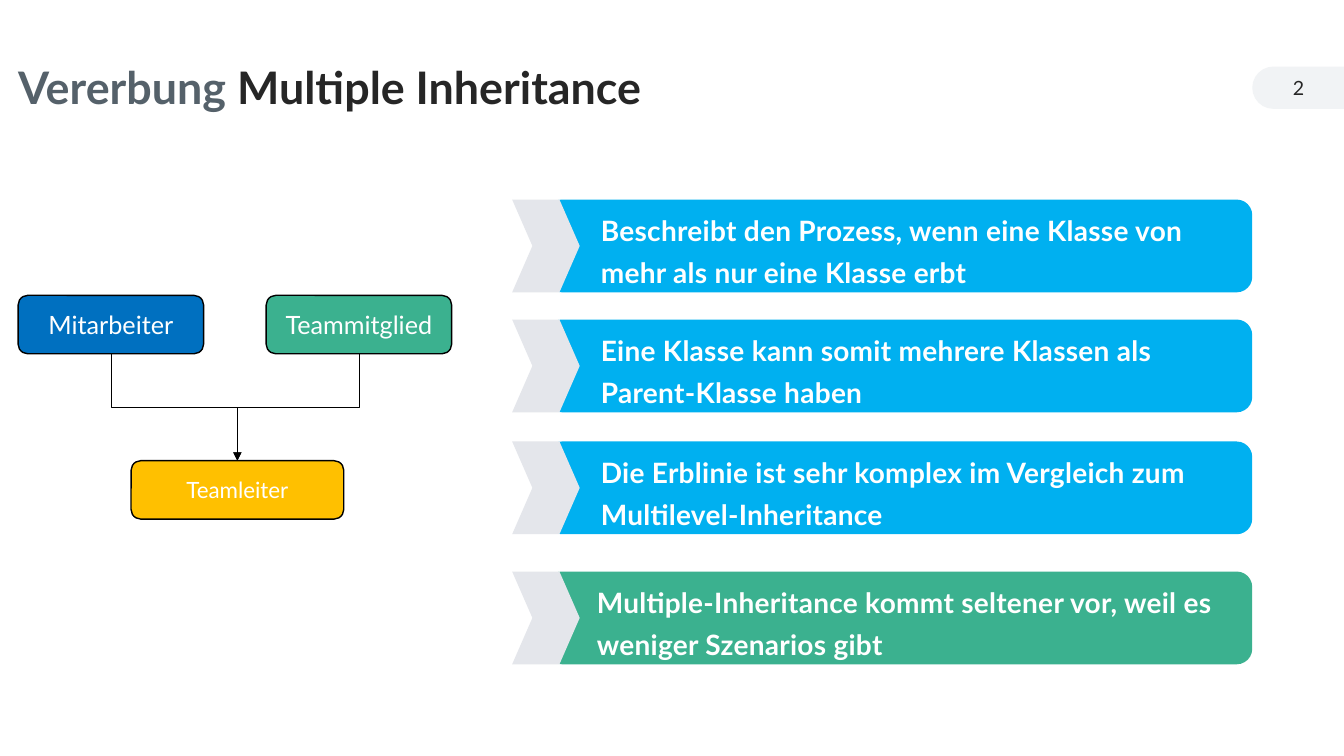
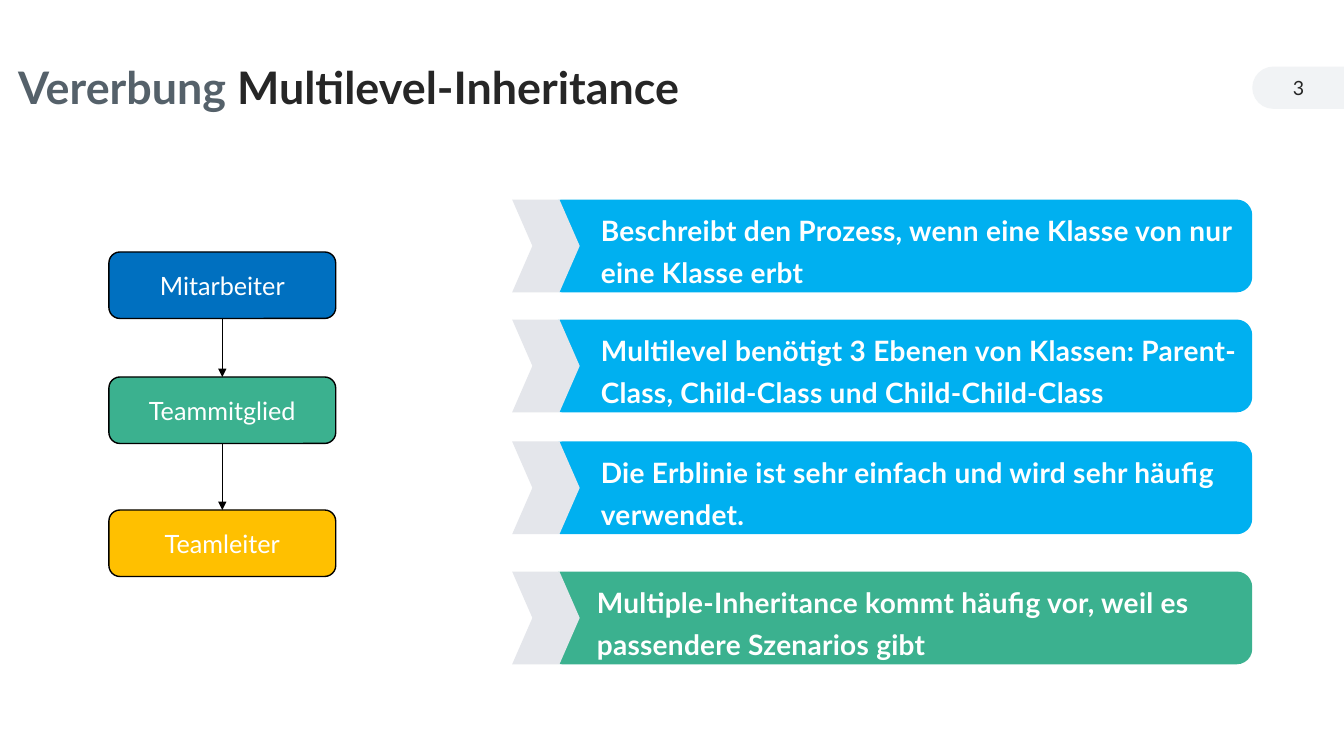
from typing import NamedTuple

from lxml.etree import SubElement
from pptx import Presentation
from pptx.dml.color import RGBColor
from pptx.enum.shapes import MSO_CONNECTOR as Connector, MSO_SHAPE as Preset
from pptx.enum.text import MSO_ANCHOR as Anchor, PP_ALIGN as Align
from pptx.oxml.ns import qn
from pptx.util import Inches, Pt

FONT = "Lato"
COLORS = {
    "title_lead": "55616A",
    "dark": "262626",
    "badge": "F1F3F5",
    "chevron": "E4E6EB",
    "sky": "00B0F0",
    "green": "3BB18F",
    "blue": "0070C0",
    "amber": "FFC000",
    "white": "FFFFFF",
    "black": "000000",
}
BAR_HEIGHT = 0.92


class Box(NamedTuple):
    left: float
    top: float
    width: float
    height: float

    def lengths(self):
        return [Inches(value) for value in self]


class ClassNode(NamedTuple):
    name: str
    box: Box
    color: str
    size: int = 18


class BarStyle(NamedTuple):
    top: float
    text_left: float
    color: str


class Topic(NamedTuple):
    number: int
    title: str
    title_width: float
    nodes: list[ClassNode]
    links: list[tuple[int, int]]
    statements: list[str]


BARS = [
    BarStyle(1.98, 5.96, "sky"),
    BarStyle(3.17, 5.96, "sky"),
    BarStyle(4.38, 5.96, "sky"),
    BarStyle(5.67, 5.92, "green"),
]

TOPICS = [
    Topic(
        2, "Multiple Inheritance", 6.58,
        [
            ClassNode("Mitarbeiter", Box(0.18, 2.93, 1.84, 0.58), "blue"),
            ClassNode("Teammitglied", Box(2.64, 2.93, 1.84, 0.58), "green"),
            ClassNode("Teamleiter", Box(1.3, 4.57, 2.11, 0.58), "amber", 16),
        ],
        [(0, 2), (1, 2)],
        [
            "Beschreibt den Prozess, wenn eine Klasse von mehr als nur eine Klasse erbt",
            "Eine Klasse kann somit mehrere Klassen als Parent-Klasse haben",
            "Die Erblinie ist sehr komplex im Vergleich zum Multilevel-Inheritance",
            "Multiple-Inheritance kommt seltener vor, weil es weniger Szenarios gibt",
        ],
    ),
    Topic(
        3, "Multilevel-Inheritance", 7.65,
        [
            ClassNode("Mitarbeiter", Box(1.08, 2.5, 2.25, 0.66), "blue"),
            ClassNode("Teammitglied", Box(1.08, 3.74, 2.25, 0.66), "green"),
            ClassNode("Teamleiter", Box(1.08, 5.06, 2.25, 0.66), "amber"),
        ],
        [(0, 1), (1, 2)],
        [
            "Beschreibt den Prozess, wenn eine Klasse von nur eine Klasse erbt",
            "Multilevel benötigt 3 Ebenen von Klassen: Parent-Class, Child-Class und Child-Child-Class",
            "Die Erblinie ist sehr einfach und wird sehr häufig verwendet.",
            "Multiple-Inheritance kommt häufig vor, weil es passendere Szenarios gibt",
        ],
    ),
]


def rgb(color: str) -> RGBColor:
    return RGBColor.from_string(COLORS[color])


def style_run(run, size: int, color: str, bold: bool = False) -> None:
    run.font.name = FONT
    run.font.size = Pt(size)
    run.font.bold = bold
    run.font.color.rgb = rgb(color)


def add_filled(shapes, preset, box: Box, color: str):
    shape = shapes.add_shape(preset, *box.lengths())
    shape.shadow.inherit = False
    shape.fill.solid()
    shape.fill.fore_color.rgb = rgb(color)
    shape.line.fill.background()
    return shape


def add_text(shapes, box: Box, text: str, anchor=Anchor.MIDDLE):
    text_box = shapes.add_textbox(*box.lengths())
    text_frame = text_box.text_frame
    text_frame.word_wrap = True
    text_frame.vertical_anchor = anchor
    text_frame.margin_left = text_frame.margin_right = 0
    text_frame.text = text
    return text_frame.paragraphs[0]


def add_badge(slide, number: int) -> None:
    badge = add_filled(slide.shapes, Preset.ROUND_2_SAME_RECTANGLE,
                       Box(12.67, 0.41, 0.42, 0.92), "badge")
    badge.adjustments[0] = 0.5
    badge.rotation = 270
    paragraph = add_text(slide.shapes, Box(12.42, 0.67, 0.92, 0.4), str(number))
    paragraph.alignment = Align.CENTER
    style_run(paragraph.runs[0], 14, "dark")


def add_title(slide, title: str, width: float) -> None:
    paragraph = add_text(slide.shapes, Box(0.18, 0.45, width, 0.88), "Vererbung ")
    paragraph.line_spacing = 0.9
    style_run(paragraph.runs[0], 32, "title_lead", bold=True)
    subject = paragraph.add_run()
    subject.text = title
    style_run(subject, 32, "dark", bold=True)


def add_node(slide, node: ClassNode):
    shape = add_filled(slide.shapes, Preset.ROUNDED_RECTANGLE, node.box, node.color)
    shape.line.color.rgb = rgb("black")
    shape.line.width = Pt(1)
    text_frame = shape.text_frame
    text_frame.vertical_anchor = Anchor.MIDDLE
    text_frame.text = node.name
    paragraph = text_frame.paragraphs[0]
    paragraph.alignment = Align.CENTER
    style_run(paragraph.runs[0], node.size, "white")
    return shape


def turn_downward(connector) -> None:
    run, drop = connector.end_x - connector.begin_x, connector.end_y - connector.begin_y
    center_x = (connector.begin_x + connector.end_x) // 2
    center_y = (connector.begin_y + connector.end_y) // 2
    connector.left, connector.top = center_x - drop // 2, center_y - abs(run) // 2
    connector.width, connector.height = drop, abs(run)
    transform = connector._element.spPr.find(qn("a:xfrm"))
    transform.set("rot", str((270 if run > 0 else 90) * 60000))
    transform.set("flipH", "1" if run > 0 else "0")


def add_arrow(slide, parent, child) -> None:
    straight = parent.left + parent.width // 2 == child.left + child.width // 2
    kind = Connector.STRAIGHT if straight else Connector.ELBOW
    connector = slide.shapes.add_connector(kind, 0, 0, 0, 0)
    connector.begin_connect(parent, 2)
    connector.end_connect(child, 0)
    if not straight:
        turn_downward(connector)
    connector.line.color.rgb = rgb("black")
    connector.line.width = Pt(0.5)
    properties = connector._element.spPr
    SubElement(properties.find(qn("a:ln")), qn("a:tailEnd"), type="triangle")
    SubElement(properties, qn("a:effectLst"))


def add_statement(slide, style: BarStyle, text: str) -> None:
    shapes = slide.shapes.add_group_shape().shapes
    add_filled(shapes, Preset.ROUNDED_RECTANGLE,
               Box(5.42, style.top, 7, BAR_HEIGHT), style.color)
    chevron = add_filled(shapes, Preset.CHEVRON,
                         Box(5.08, style.top, 0.67, BAR_HEIGHT), "chevron")
    chevron.adjustments[0] = 0.3
    paragraph = add_text(shapes, Box(style.text_left, style.top + 0.01, 6.33, 0.9),
                         text, Anchor.TOP)
    paragraph.line_spacing = 1.25
    run = paragraph.runs[0]
    style_run(run, 20, "white", bold=True)
    run.font._element.set("spc", "20")


def add_topic(presentation, topic: Topic) -> None:
    slide = presentation.slides.add_slide(presentation.slide_layouts[6])
    add_badge(slide, topic.number)
    add_title(slide, topic.title, topic.title_width)
    nodes = [add_node(slide, node) for node in topic.nodes]
    for parent, child in topic.links:
        add_arrow(slide, nodes[parent], nodes[child])
    for style, text in zip(BARS, topic.statements):
        add_statement(slide, style, text)


def main() -> None:
    presentation = Presentation()
    presentation.slide_width = Inches(13.33)
    presentation.slide_height = Inches(7.5)
    for topic in TOPICS:
        add_topic(presentation, topic)
    presentation.save("out.pptx")


if __name__ == "__main__":
    main()
